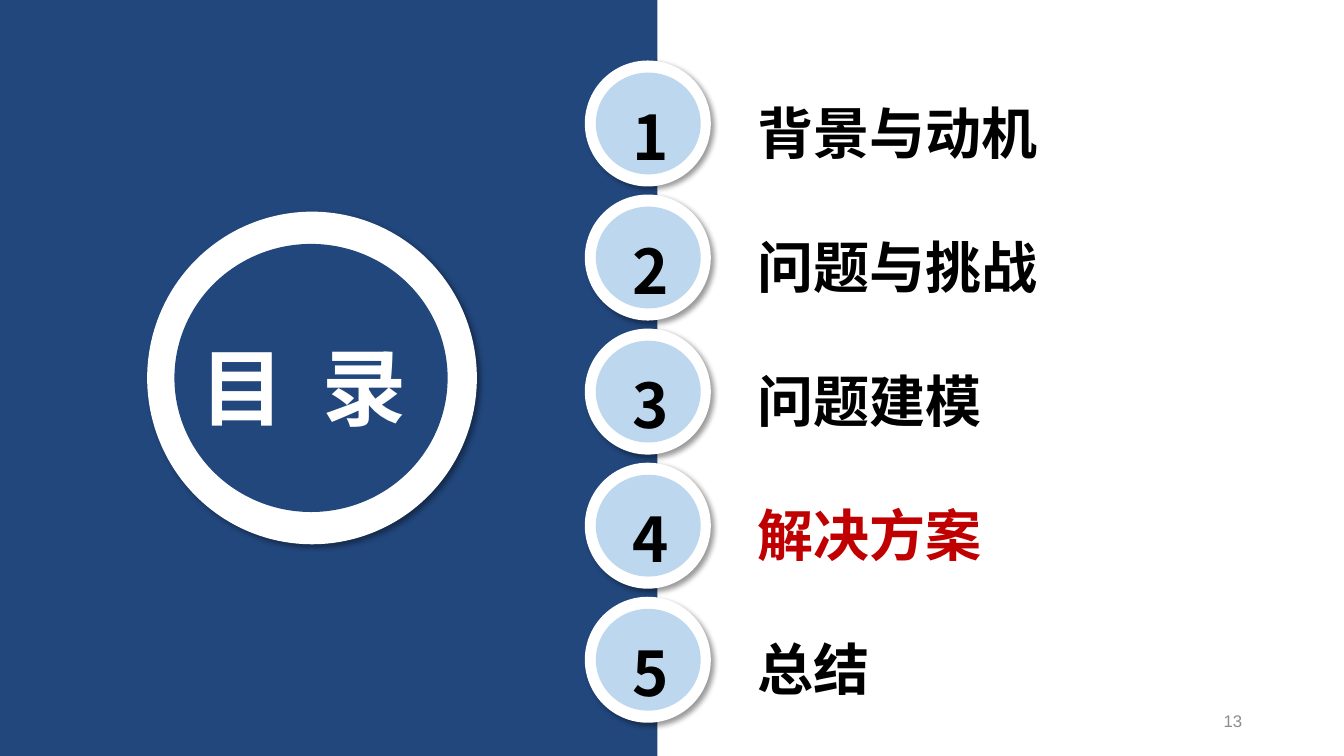
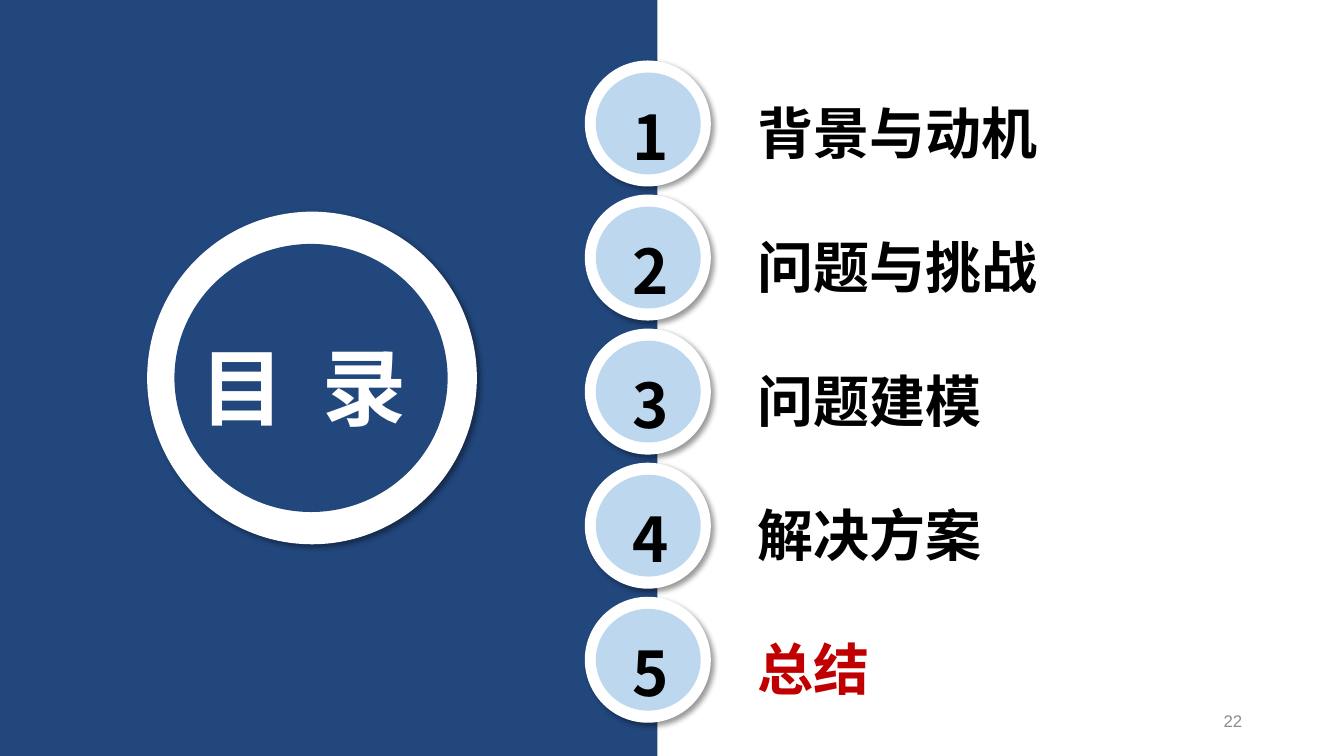
"""Builds two agenda slides, each highlighting the current chapter."""
from lxml import etree
from pptx import Presentation
from pptx import util as u
from pptx.dml import color
from pptx.enum import shapes, text
from pptx.oxml import ns

NAVY, PALE, WHITE, BLACK = "22477D", "BDD7EE", "FFFFFF", "000000"
RED, GREY = "C00000", "8C8C8C"
HEAVY, PLAIN = "Noto Sans CJK SC", "Arial"
CHAPTERS = ["背景与动机", "问题与挑战", "问题建模", "解决方案", "总结"]
TOP, PITCH = 0.6, 1.33
LABEL_SIZE, LEADING = 40, 1.3


def rgb(value):
    """Turn a hex string into a colour."""
    return color.RGBColor.from_string(value)


class Agenda:
    """Holds the style and the current slide."""

    def __init__(self):
        self.deck = Presentation()
        self.deck.slide_width = u.Inches(13.33)
        self.deck.slide_height = u.Inches(7.5)
        self.slide = None

    def new_slide(self):
        """Start a slide with a title and a body placeholder."""
        self.slide = self.deck.slides.add_slide(self.deck.slide_layouts[1])

    def place(self, holder, left, top, width, height):
        """Move a placeholder and bring it to the front."""
        holder.left, holder.top = u.Inches(left), u.Inches(top)
        holder.width, holder.height = u.Inches(width), u.Inches(height)
        self.slide.shapes._spTree.append(holder._element)
        return holder.text_frame

    def frame(self, frame, anchor=text.MSO_ANCHOR.TOP):
        """Give a text frame fixed size, wrapping and an anchor."""
        frame.word_wrap = True
        frame.auto_size = text.MSO_AUTO_SIZE.NONE
        frame.vertical_anchor = anchor

    def style(self, paragraph, size, fill, face=HEAVY, align=text.PP_ALIGN.LEFT):
        """Format a whole paragraph."""
        paragraph.alignment = align
        paragraph.space_before = u.Pt(0)
        if face == HEAVY:
            paragraph.line_spacing = u.Pt(size * LEADING)
        font = paragraph.font
        font.size, font.bold, font.name = u.Pt(size), face == HEAVY, face
        font.color.rgb = rgb(fill)
        etree.SubElement(font._element, ns.qn("a:ea"), typeface=face)

    def shape(self, kind, left, top, width, height, fill, shadow=False):
        """Draw a filled shape without outline."""
        item = self.slide.shapes.add_shape(
            kind, u.Inches(left), u.Inches(top), u.Inches(width), u.Inches(height))
        item.fill.solid()
        item.fill.fore_color.rgb = rgb(fill)
        item.line.fill.background()
        item.shadow.inherit = False
        if shadow:
            effects = item._element.spPr.find(ns.qn("a:effectLst"))
            outer = etree.SubElement(
                effects, ns.qn("a:outerShdw"), blurRad=str(u.Pt(4)), dist=str(u.Pt(3)),
                dir="2700000", algn="tl", rotWithShape="0")
            tone = etree.SubElement(outer, ns.qn("a:srgbClr"), val=BLACK)
            etree.SubElement(tone, ns.qn("a:alpha"), val="40000")

    def ring(self, outer, inner, fill):
        """Draw a white shadowed disc with a coloured disc on it."""
        oval = shapes.MSO_SHAPE.OVAL
        self.shape(oval, *outer, WHITE, shadow=True)
        self.shape(oval, *inner, fill)

    def label(self, words, left, top, width, height, size, fill,
              anchor=text.MSO_ANCHOR.TOP, **style):
        """Add a text box with one paragraph."""
        box = self.slide.shapes.add_textbox(
            u.Inches(left), u.Inches(top), u.Inches(width), u.Inches(height))
        self.frame(box.text_frame, anchor)
        paragraph = box.text_frame.paragraphs[0]
        paragraph.text = words
        self.style(paragraph, size, fill, **style)

    def title(self, words):
        """Fill the title placeholder with widely spaced characters."""
        frame = self.place(self.slide.shapes.title, 1.89, 3.19, 2.6, 1.11)
        self.frame(frame)
        heading = frame.paragraphs[0]
        heading.text = words
        heading.runs[0]._r.get_or_add_rPr().set("spc", "680")
        self.style(heading, 60, WHITE)

    def badge(self, number):
        """Draw a numbered disc in its row."""
        top = TOP + (number - 1) * PITCH
        self.ring((5.8, top, 1.25, 1.25), (5.91, top + 0.12, 1.04, 1.01), PALE)
        self.label(str(number), 6.17, top + 0.27, 0.75, 1.09, 44, BLACK)

    def chapters(self, current):
        """List the chapters at the pitch of the badges."""
        frame = self.place(self.slide.placeholders[1], 7.41, TOP + 0.27, 4.5, 6.2)
        self.frame(frame)
        for number, name in enumerate(CHAPTERS, 1):
            chapter = frame.paragraphs[0] if number == 1 else frame.add_paragraph()
            chapter.text = name
            properties = chapter._p.get_or_add_pPr()
            properties.set("marL", "0")
            properties.set("indent", "0")
            etree.SubElement(properties, ns.qn("a:buNone"))
            self.style(chapter, LABEL_SIZE, RED if number == current else BLACK)
            if number > 1:
                chapter.space_before = u.Pt(PITCH * 72 - LABEL_SIZE * LEADING)

    def page(self, number):
        """Add the page number."""
        self.label(str(number), 9.42, 6.95, 3, 0.4, 12, GREY, face=PLAIN,
                   anchor=text.MSO_ANCHOR.MIDDLE, align=text.PP_ALIGN.RIGHT)

    def agenda(self, current, page):
        """Build one agenda slide."""
        self.new_slide()
        self.shape(shapes.MSO_SHAPE.RECTANGLE, 0, 0, 6.52, 7.5, NAVY)
        self.ring((1.46, 2.1, 3.27, 3.3), (1.73, 2.42, 2.71, 2.66), NAVY)
        self.title("目 录")
        self.page(page)
        for number in range(1, len(CHAPTERS) + 1):
            self.badge(number)
        self.chapters(current)


def main():
    """Build and save the deck."""
    agenda = Agenda()
    for current, page in ((4, 13), (5, 22)):
        agenda.agenda(current, page)
    agenda.deck.save("out.pptx")


if __name__ == "__main__":
    main()
